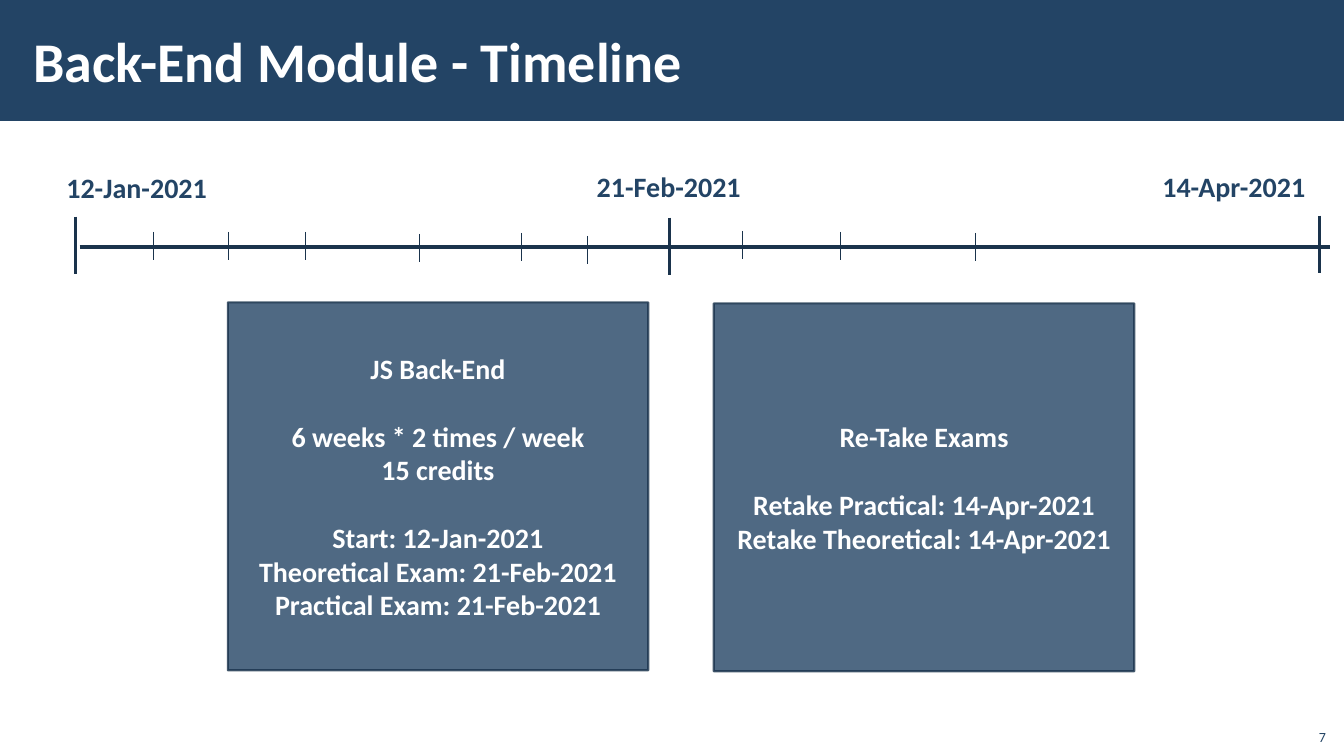
from dataclasses import dataclass

from lxml.etree import SubElement
from pptx import Presentation
from pptx.dml.color import RGBColor
from pptx.enum.shapes import MSO_CONNECTOR as Connector, MSO_SHAPE as Preset
from pptx.enum.text import MSO_ANCHOR as Anchor, PP_ALIGN as Align
from pptx.oxml.ns import qn
from pptx.util import Emu, Pt

EMU_PER_PX = 9144  # 100 px to the inch
NAVY, DARK_NAVY, WHITE = "234465", "1A334C", "FFFFFF"
FONT = "Calibri"
BLANK_LAYOUT = 6
MAJOR_TICK, MINOR_TICK = 57, 28
MAJOR_WIDTH, MINOR_WIDTH = 2.25, 0.5
CARD_WIDTH, CARD_HEIGHT = 417, 365
GROUP_GAP = 24.4  # one line of 20 pt text


@dataclass
class Milestone:
    date: str
    label_left: int
    label_top: int
    label_width: int
    tick_left: int
    tick_top: int


@dataclass
class Card:
    left: int
    top: int
    groups: list[list[str]]


MILESTONES = [
    Milestone("12-Jan-2021", 56, 164, 161, 75, 215),
    Milestone("21-Feb-2021", 582, 163, 164, 664, 216),
    Milestone("14-Apr-2021", 1143, 163, 165, 1309, 214),
]
# Left and top of each minor tick
MINOR_TICKS = [(152, 230), (227, 230), (303, 230), (416, 232), (517, 231),
               (583, 234), (736, 229), (833, 230), (967, 231)]
CARDS = [
    Card(226, 300, [
        ["JS Back-End"],
        ["6 weeks * 2 times / week", "15 credits"],
        ["Start: 12-Jan-2021", "Theoretical Exam: 21-Feb-2021",
         "Practical Exam: 21-Feb-2021"],
    ]),
    Card(708, 301, [
        ["Re-Take Exams"],
        ["Retake Practical: 14-Apr-2021", "Retake Theoretical: 14-Apr-2021"],
    ]),
]


def px(length: int) -> Emu:
    return Emu(length * EMU_PER_PX)


def paint(color_format, color: str) -> None:
    color_format.rgb = RGBColor.from_string(color)


def set_opacity(shape, percent: int) -> None:
    for color in shape._element.spPr.iter(qn("a:srgbClr")):
        SubElement(color, qn("a:alpha"), val=str(percent * 1000))


def write(paragraph, text: str, *, size: int = 20, color: str = NAVY,
          bold: bool = True, align: Align = Align.LEFT, gap: float = 0) -> None:
    paragraph.alignment = align
    paragraph.space_before = Pt(gap)
    run = paragraph.add_run()
    run.text = text
    run.font.name = FONT
    run.font.size = Pt(size)
    run.font.bold = bold
    paint(run.font.color, color)


def add_text(slide, text: str, left: int, top: int, width: int, height: int, *,
             anchor: Anchor = Anchor.TOP, wrap: bool = True, margin: int = 10,
             **text_format) -> None:
    frame = slide.shapes.add_textbox(px(left), px(top), px(width), px(height)).text_frame
    frame.word_wrap = wrap
    frame.vertical_anchor = anchor
    frame.margin_left = frame.margin_right = px(margin)
    write(frame.paragraphs[0], text, **text_format)


def add_rectangle(slide, left: int, top: int, width: int, height: int):
    shape = slide.shapes.add_shape(Preset.RECTANGLE, px(left), px(top), px(width), px(height))
    shape.shadow.inherit = False
    shape.fill.solid()
    paint(shape.fill.fore_color, NAVY)
    shape.line.fill.background()
    return shape


def add_line(slide, left: int, top: int, right: int, bottom: int, width: float) -> None:
    line = slide.shapes.add_connector(
        Connector.STRAIGHT, px(left), px(top), px(right), px(bottom))
    paint(line.line.color, DARK_NAVY)
    line.line.width = Pt(width)
    SubElement(line._element.spPr, qn("a:effectLst"))


def add_milestone(slide, milestone: Milestone) -> None:
    add_line(slide, milestone.tick_left, milestone.tick_top, milestone.tick_left,
             milestone.tick_top + MAJOR_TICK, MAJOR_WIDTH)
    add_text(slide, milestone.date, milestone.label_left, milestone.label_top,
             milestone.label_width, 44, wrap=False)


def add_card(slide, card: Card) -> None:
    shape = add_rectangle(slide, card.left, card.top, CARD_WIDTH, CARD_HEIGHT)
    paint(shape.line.color, DARK_NAVY)
    shape.line.width = Pt(1.5)
    set_opacity(shape, 80)
    frame = shape.text_frame
    frame.word_wrap = True
    frame.vertical_anchor = Anchor.MIDDLE
    for group_index, group in enumerate(card.groups):
        for line_index, text in enumerate(group):
            is_first = group_index == line_index == 0
            paragraph = frame.paragraphs[0] if is_first else frame.add_paragraph()
            starts_group = line_index == 0 and not is_first
            write(paragraph, text, color=WHITE, align=Align.CENTER,
                  gap=GROUP_GAP if starts_group else 0)


def main() -> None:
    presentation = Presentation()
    presentation.slide_width, presentation.slide_height = px(1333), px(750)
    slide = presentation.slides.add_slide(presentation.slide_layouts[BLANK_LAYOUT])

    # Title bar
    add_rectangle(slide, 0, 0, 1333, 120)
    add_text(slide, "Back-End Module - Timeline", 21, 11, 1063, 97,
             anchor=Anchor.MIDDLE, margin=12, size=40, color=WHITE)

    # Timeline
    add_line(slide, 79, 245, 1319, 245, MAJOR_WIDTH)
    for left, top in MINOR_TICKS:
        add_line(slide, left, top, left, top + MINOR_TICK, MINOR_WIDTH)
    for milestone in MILESTONES:
        add_milestone(slide, milestone)

    # Course and exam cards
    for card in CARDS:
        add_card(slide, card)

    # Slide number
    add_text(slide, "7", 1285, 712, 40, 32, anchor=Anchor.BOTTOM,
             size=10, bold=False, align=Align.RIGHT)

    presentation.save("out.pptx")


if __name__ == "__main__":
    main()
